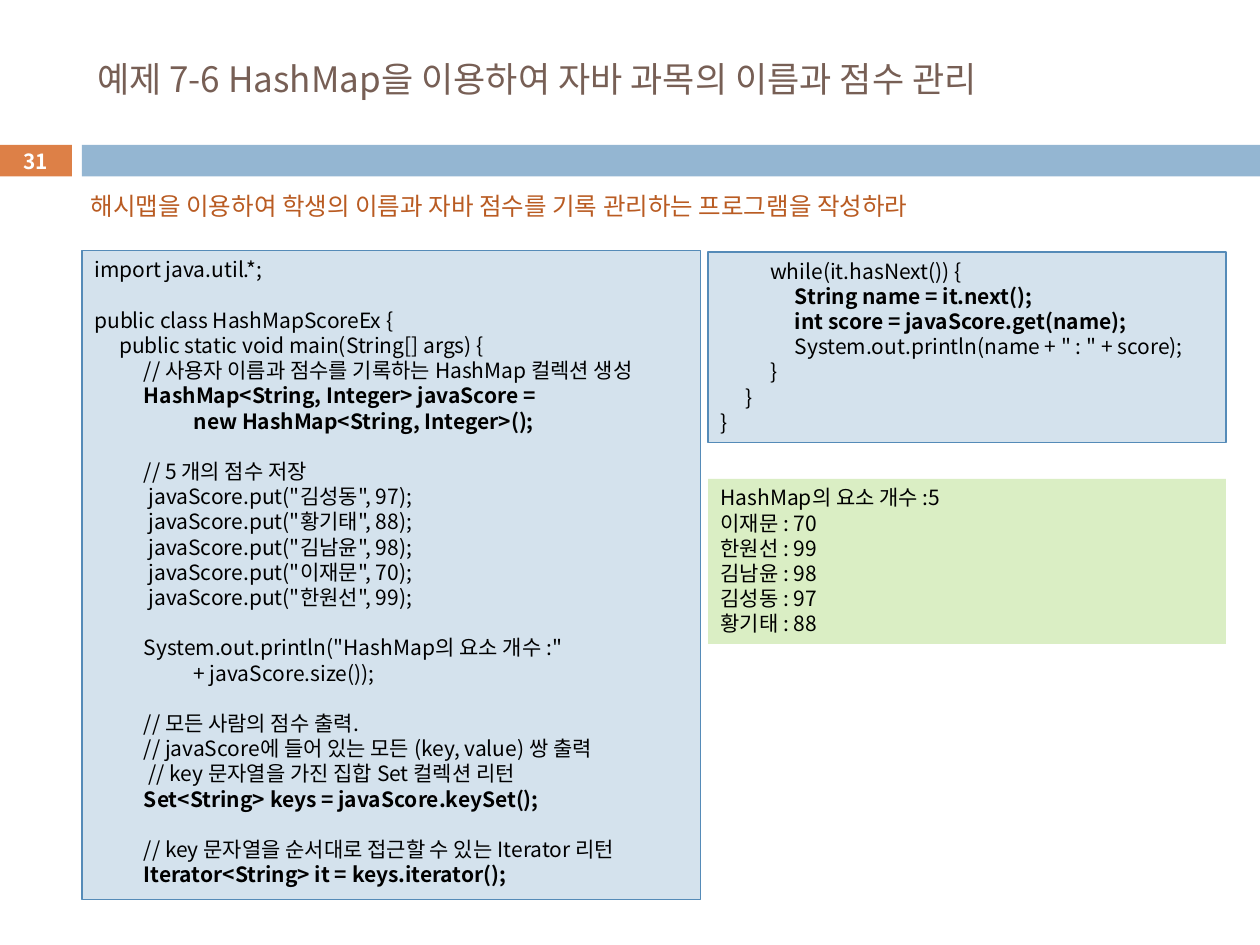
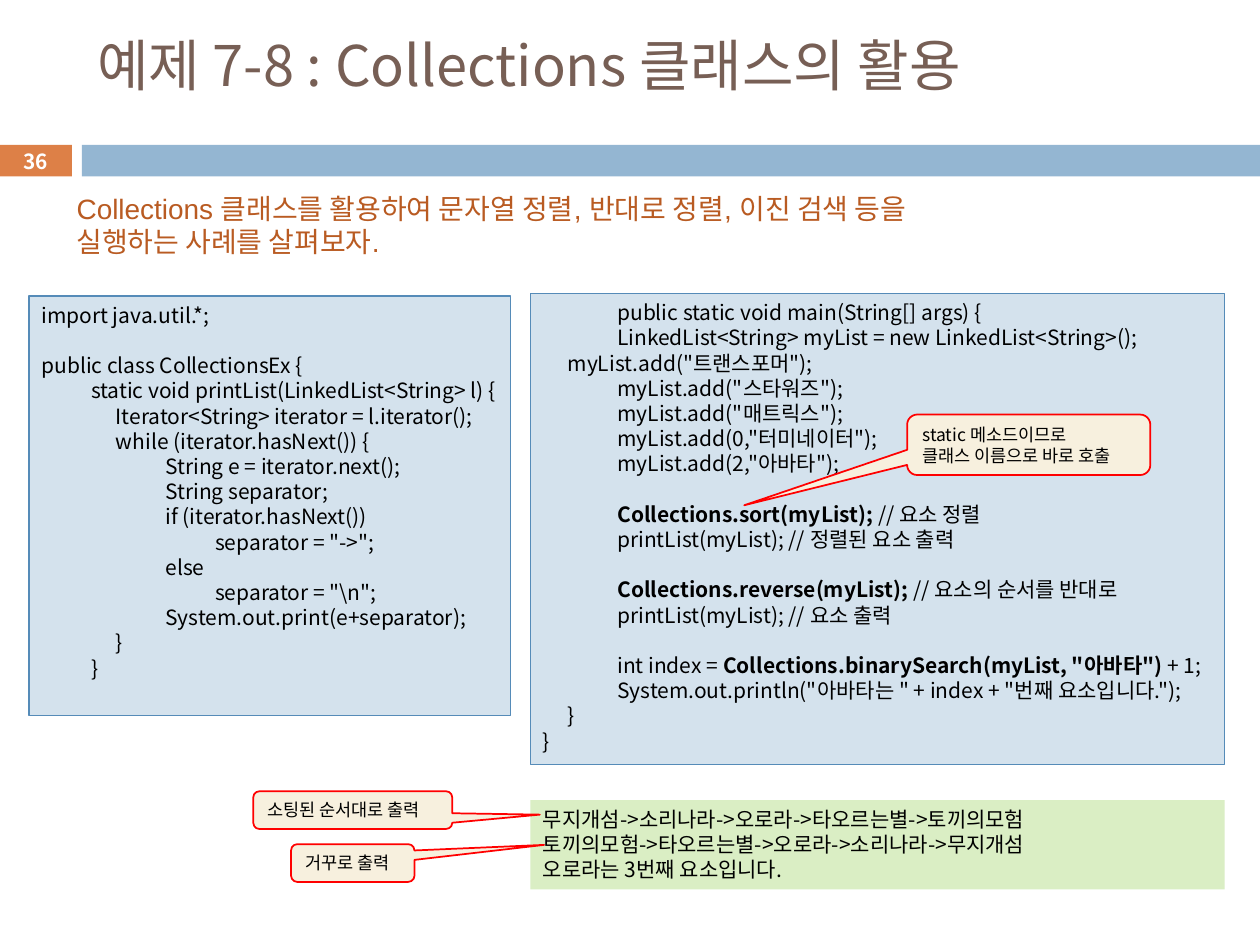
from lxml.etree import SubElement
from pptx import Presentation
from pptx.dml.color import RGBColor
from pptx.enum.shapes import MSO_SHAPE as SHAPE
from pptx.enum.text import MSO_ANCHOR as ANCHOR, MSO_AUTO_SIZE as AUTO, PP_ALIGN as ALIGN
from pptx.oxml.ns import qn
from pptx.util import Inches, Pt

COLS, ROWS = 100, 75
FONT, LEAD_FONT = "Noto Sans CJK KR", "Arial"
ORANGE, BLUE, BROWN, RUST = "DD8047", "94B6D2", "775F55", "B95B22"
CODE_FILL, CODE_LINE, OUTPUT_FILL = "D4E2ED", "558BB8", "DAEEC4"
CALLOUT_FILL, CALLOUT_LINE = "F7F0DE", "FF0000"
BLACK, WHITE = "000000", "FFFFFF"
TAB, TAB_STOPS = Inches(0.197), 8
LINE_HEIGHT = 1.2

prs = Presentation()
prs.slide_width, prs.slide_height = Inches(10), Inches(7.5)


def color(value):
    return RGBColor.from_string(value)


def grid(left, top, width, height):
    """Turn columns and rows of the slide grid into lengths."""
    col, row = prs.slide_width / COLS, prs.slide_height / ROWS
    return [round(n) for n in (left * col, top * row, width * col, height * row)]


def style(r, size, value, name=FONT, bold=False):
    f = r.font
    f.size, f.bold = Pt(size), bold
    f.color.rgb = color(value)
    f.name = name
    SubElement(r._r.get_or_add_rPr(), qn("a:ea"), typeface=FONT)


def add_tabs(p):
    tabs = SubElement(p._p.get_or_add_pPr(), qn("a:tabLst"))
    for i in range(1, TAB_STOPS + 1):
        SubElement(tabs, qn("a:tab"), pos=str(i * TAB), algn="l")


def write(tf, lines, size, value=BLACK, name=FONT, tabbed=False):
    """Write one paragraph per line; ** switches bold on and off."""
    tf.word_wrap = True
    tf.auto_size = AUTO.NONE
    tf.vertical_anchor = ANCHOR.TOP
    tf.margin_right = 0
    for i, line in enumerate(lines):
        p = tf.add_paragraph() if i else tf.paragraphs[0]
        p.alignment = ALIGN.LEFT
        p.line_spacing = Pt(size * LINE_HEIGHT)
        if tabbed:
            add_tabs(p)
        for k, part in enumerate(line.split("**")):
            if part:
                r = p.add_run()
                r.text = part
                style(r, size, value, name, bold=k % 2 == 1)


def add_box(s, box, fill, line=None, width=0.75, kind=SHAPE.RECTANGLE):
    sp = s.shapes.add_shape(kind, *grid(*box))
    sp.shadow.inherit = False
    sp.fill.solid()
    sp.fill.fore_color.rgb = color(fill)
    if line:
        sp.line.color.rgb = color(line)
        sp.line.width = Pt(width)
    else:
        sp.line.fill.background()
    return sp


def add_page(title, title_box, title_size, number):
    """Add a slide with its title, the two bands and the page number."""
    s = prs.slides.add_slide(prs.slide_layouts[5])
    badge = add_box(s, (-0.1, 11.5, 5.8, 2.5), ORANGE)
    add_box(s, (6.5, 11.5, 93.5, 2.5), BLUE)
    tf = badge.text_frame
    tf.margin_top = tf.margin_bottom = 0
    tf.vertical_anchor = ANCHOR.MIDDLE
    tf.text = str(number)
    tf.paragraphs[0].alignment = ALIGN.CENTER
    style(tf.paragraphs[0].runs[0], 11.9, WHITE, bold=True)

    sp = s.shapes.title
    sp.left, sp.top, sp.width, sp.height = grid(*title_box)
    tf = sp.text_frame
    tf.text = title
    tf.auto_size = AUTO.NONE
    tf.vertical_anchor = ANCHOR.MIDDLE
    tf.paragraphs[0].alignment = ALIGN.LEFT
    style(tf.paragraphs[0].runs[0], title_size, BROWN)
    return s


def add_lead(s, box, lines, size):
    sp = s.shapes.add_textbox(*grid(*box))
    write(sp.text_frame, lines, size, RUST, LEAD_FONT)


def add_code(s, box, lines):
    """Add a code panel; each line is a tab depth and its text."""
    sp = add_box(s, box, CODE_FILL, CODE_LINE)
    write(sp.text_frame, ["\t" * depth + text for depth, text in lines], 12, tabbed=True)


def add_output(s, box, lines):
    write(add_box(s, box, OUTPUT_FILL).text_frame, lines, 12)


def add_callout(s, box, tip, lines):
    """Add a callout; tip is its point as shares of its size from the centre."""
    sp = add_box(s, box, CALLOUT_FILL, CALLOUT_LINE, 1, SHAPE.ROUNDED_RECTANGULAR_CALLOUT)
    for i, share in enumerate((*tip, 0.167)):
        sp.adjustments[i] = share
    write(sp.text_frame, lines, 10)


SCORES = {"김성동": 97, "황기태": 88, "김남윤": 98, "이재문": 70, "한원선": 99}
PRINT_ORDER = ["이재문", "한원선", "김남윤", "김성동", "황기태"]

SCORE_CODE = [
    (0, "import java.util.*;"),
    (2, ""),
    (0, "public class HashMapScoreEx {"),
    (1, "public static void main(String[] args) {"),
    (2, "// 사용자 이름과 점수를 기록하는 HashMap 컬렉션 생성"),
    (2, "**HashMap<String, Integer> javaScore =**"),
    (4, "**new HashMap<String, Integer>();**"),
    (2, ""),
    (2, "// 5 개의 점수 저장"),
    *[(2, f' javaScore.put("{name}", {score});') for name, score in SCORES.items()],
    (2, ""),
    (2, 'System.out.println("HashMap의 요소 개수 :"'),
    (4, "+ javaScore.size());"),
    (2, ""),
    (2, "// 모든 사람의 점수 출력."),
    (2, "// javaScore에 들어 있는 모든 (key, value) 쌍 출력"),
    (2, " // key 문자열을 가진 집합 Set 컬렉션 리턴"),
    (2, "**Set<String> keys = javaScore.keySet();**"),
    (2, ""),
    (2, "// key 문자열을 순서대로 접근할 수 있는 Iterator 리턴"),
    (2, "**Iterator<String> it = keys.iterator();**"),
]

LOOP_CODE = [
    (2, "while(it.hasNext()) {"),
    (3, "**String name = it.next();**"),
    (3, "**int score = javaScore.get(name);**"),
    (3, 'System.out.println(name + " : " + score);'),
    (2, "}"),
    (1, "}"),
    (0, "}"),
]

PRINT_LIST_CODE = [
    (0, "import java.util.*;"),
    (2, ""),
    (0, "public class CollectionsEx {"),
    (2, "static void printList(LinkedList<String> l) {"),
    (3, "Iterator<String> iterator = l.iterator();"),
    (3, "while (iterator.hasNext()) {"),
    (5, "String e = iterator.next();"),
    (5, "String separator;"),
    (5, "if (iterator.hasNext())"),
    (7, 'separator = "->";'),
    (5, "else"),
    (7, 'separator = "\\n";'),
    (5, "System.out.print(e+separator);"),
    (3, "}"),
    (2, "}"),
]

MAIN_CODE = [
    (3, "public static void main(String[] args) {"),
    (3, "LinkedList<String> myList = new LinkedList<String>();"),
    (1, 'myList.add("트랜스포머");'),
    (3, 'myList.add("스타워즈");'),
    (3, 'myList.add("매트릭스");'),
    (3, 'myList.add(0,"터미네이터");'),
    (3, 'myList.add(2,"아바타");'),
    (3, ""),
    (3, "**Collections.sort(myList); **// 요소 정렬"),
    (3, "printList(myList); // 정렬된 요소 출력"),
    (3, ""),
    (3, "**Collections.reverse(myList); **// 요소의 순서를 반대로"),
    (3, "printList(myList); // 요소 출력"),
    (2, ""),
    (3, 'int index = **Collections.binarySearch(myList, "아바타") **+ 1;'),
    (3, 'System.out.println("아바타는 " + index + "번째 요소입니다.");'),
    (1, "}"),
    (0, "}"),
]

SORTED_TITLES = ["무지개섬", "소리나라", "오로라", "타오르는별", "토끼의모험"]


def build_hash_map_page():
    s = add_page("예제 7-6 HashMap을 이용하여 자바 과목의 이름과 점수 관리",
                 (6.7, 2.5, 89.2, 7.4), 20, 31)
    add_lead(s, (6.2, 14.7, 87.1, 3.4),
             ["해시맵을 이용하여 학생의 이름과 자바 점수를 기록 관리하는 프로그램을 작성하라"], 14)
    add_code(s, (6.5, 19.9, 49.1, 51.5), SCORE_CODE)
    add_code(s, (56.2, 20, 41.1, 15.1), LOOP_CODE)
    add_output(s, (56.2, 38, 41.1, 13.1),
               [f"HashMap의 요소 개수 :{len(SCORES)}"]
               + [f"{name} : {SCORES[name]}" for name in PRINT_ORDER])


def build_collections_page():
    s = add_page("예제 7-8 : Collections 클래스의 활용", (6.7, 0, 89.2, 10.2), 32, 36)
    add_lead(s, (5.1, 14.7, 87.8, 6.4),
             ["Collections 클래스를 활용하여 문자열 정렬, 반대로 정렬, 이진 검색 등을",
              "실행하는 사례를 살펴보자."], 16)
    add_code(s, (2.3, 23.5, 38.2, 33.3), PRINT_LIST_CODE)
    add_code(s, (42.1, 23.3, 55.1, 37.4), MAIN_CODE)
    add_output(s, (42.1, 63.5, 55.1, 7.1),
               ["->".join(SORTED_TITLES), "->".join(reversed(SORTED_TITLES)),
                f"{SORTED_TITLES[2]}는 3번째 요소입니다."])
    add_callout(s, (20.1, 62.8, 15.8, 3), (0.94, 0.12), ["소팅된 순서대로 출력"])
    add_callout(s, (23.1, 67, 9.8, 3), (1.55, -0.48), ["거꾸로 출력"])
    add_callout(s, (72, 32.9, 19.3, 4.8), (-1.17, 1),
                ["static 메소드이므로", "클래스 이름으로 바로 호출"])


if __name__ == "__main__":
    build_hash_map_page()
    build_collections_page()
    prs.save("out.pptx")
